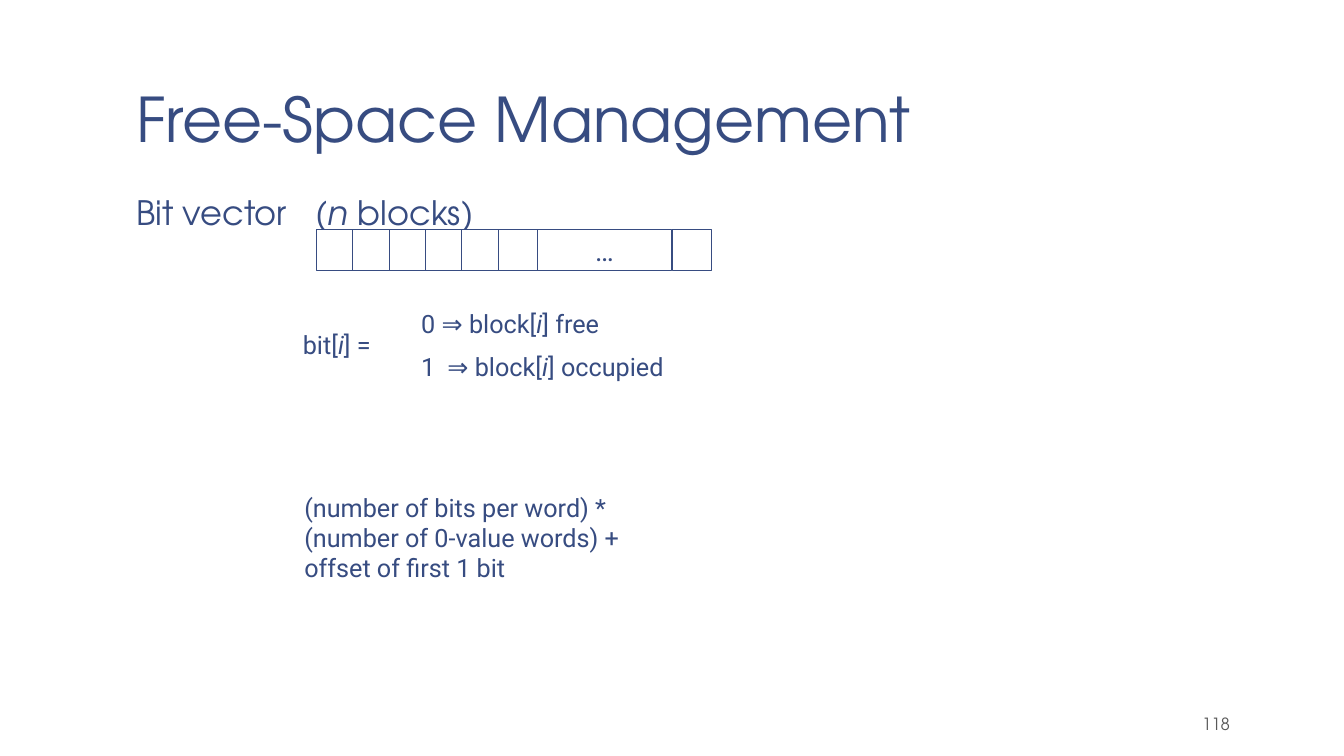
from pptx import Presentation
from pptx import util as u
from pptx.dml.color import RGBColor
from pptx.enum import shapes, text
from pptx.oxml.ns import qn
from lxml import etree

WIDTH, HEIGHT = 13.33, 7.5
COLORS = {"navy": "374C81", "white": "FFFFFF", "gray": "595959"}
DISPLAY, BODY = "TeX Gyre Adventor", "Roboto"
WIDE_INSETS = (0.13, 0.07)
MARGIN, CONTENT_WIDTH = 1.22, 11.11
BIT_LEFT, BIT_TOP, BIT_STEP, BIT_SIZE = 3.14, 2.28, 0.36, (0.39, 0.4)
LEADING_BITS = 6


def color(key):
    """Return the palette colour as RGB."""
    return RGBColor.from_string(COLORS[key])


def inches(lengths):
    """Convert a sequence of lengths to inches."""
    return [u.Inches(length) for length in lengths]


def add_tab_stop(paragraph, position):
    """Give a paragraph one left tab stop, in inches."""
    stops = etree.SubElement(paragraph._p.get_or_add_pPr(), qn("a:tabLst"))
    etree.SubElement(stops, qn("a:tab"), pos=str(u.Inches(position)), algn="l")


def write(frame, lines, size, font=BODY, ink="navy", align="LEFT", anchor="MIDDLE",
          wrap=True, insets=(0.1, 0.05), before=0, spacing=1.0, tab=None):
    """Fill a text frame with lines, setting parts between underscores in italics."""
    frame.word_wrap = wrap
    frame.auto_size = text.MSO_AUTO_SIZE.NONE
    frame.vertical_anchor = text.MSO_ANCHOR[anchor]
    frame.margin_left = frame.margin_right = u.Inches(insets[0])
    frame.margin_top = frame.margin_bottom = u.Inches(insets[1])
    for row, line in enumerate(lines):
        paragraph = frame.add_paragraph() if row else frame.paragraphs[0]
        paragraph.alignment = text.PP_ALIGN[align]
        paragraph.space_before = u.Pt(before)
        paragraph.line_spacing = spacing
        if tab and "\t" in line:
            add_tab_stop(paragraph, tab)
        for order, part in enumerate(line.split("_")):
            run = paragraph.add_run()
            run.text = part
            run.font.name, run.font.size = font, u.Pt(size)
            run.font.italic = order % 2 == 1
            run.font.color.rgb = color(ink)


def add_title(slide, words):
    """Place and format the title placeholder."""
    title = slide.shapes.title
    title.left, title.top, title.width, title.height = inches(
        (MARGIN, 0.08, CONTENT_WIDTH, 1.53))
    write(title.text_frame, [words], 44, DISPLAY, anchor="BOTTOM",
          insets=WIDE_INSETS, spacing=0.85)


def add_label(slide, box, lines, size=18, **style):
    """Add a text box holding the given lines."""
    label = slide.shapes.add_textbox(*inches(box))
    write(label.text_frame, lines, size, **style)


def add_block(slide, left, width=BIT_SIZE[0], words=None):
    """Add one outlined cell of the bit vector."""
    block = slide.shapes.add_shape(
        shapes.MSO_SHAPE.RECTANGLE, *inches((left, BIT_TOP, width, BIT_SIZE[1])))
    block.shadow.inherit = False
    block.fill.solid()
    block.fill.fore_color.rgb = color("white")
    block.line.color.rgb = color("navy")
    block.line.width = u.Pt(0.75)
    if words:
        write(block.text_frame, [words], 20, align="CENTER", wrap=False)


def add_bit_vector(slide):
    """Draw the leading bits, the elided middle and the last bit."""
    for index in range(LEADING_BITS):
        add_block(slide, BIT_LEFT + index * BIT_STEP)
    add_block(slide, 5.33, 1.33, "…")
    add_block(slide, 6.67)


def main():
    """Build the slide and save it."""
    deck = Presentation()
    deck.slide_width, deck.slide_height = inches((WIDTH, HEIGHT))
    slide = deck.slides.add_slide(deck.slide_layouts[5])
    add_title(slide, "Free-Space Management")
    add_label(slide, (MARGIN, 1.86, CONTENT_WIDTH, 4.89), ["Bit vector\t(_n_ blocks)"],
              24, font=DISPLAY, anchor="TOP", insets=WIDE_INSETS,
              before=18.7, spacing=0.95, tab=1.78)
    add_label(slide, (11.12, 7, 1.21, 0.35), ["118"], 12, font=DISPLAY, ink="gray",
              align="RIGHT", anchor="BOTTOM", insets=WIDE_INSETS)
    add_bit_vector(slide)
    add_label(slide, (2.9, 3.22, 0.88, 0.4), ["bit[_i_] ="],
              align="CENTER", wrap=False, before=9)
    add_label(slide, (4.08, 3, 2.64, 0.85),
              ["0 ⇒ block[_i_] free", "1\t⇒ block[_i_] occupied"],
              wrap=False, before=9, tab=0.26)
    add_label(slide, (2.92, 4.83, 5.16, 1),
              ["(number of bits per word) *", "(number of 0-value words) +",
               "offset of first 1 bit"])
    deck.save("out.pptx")


if __name__ == "__main__":
    main()
